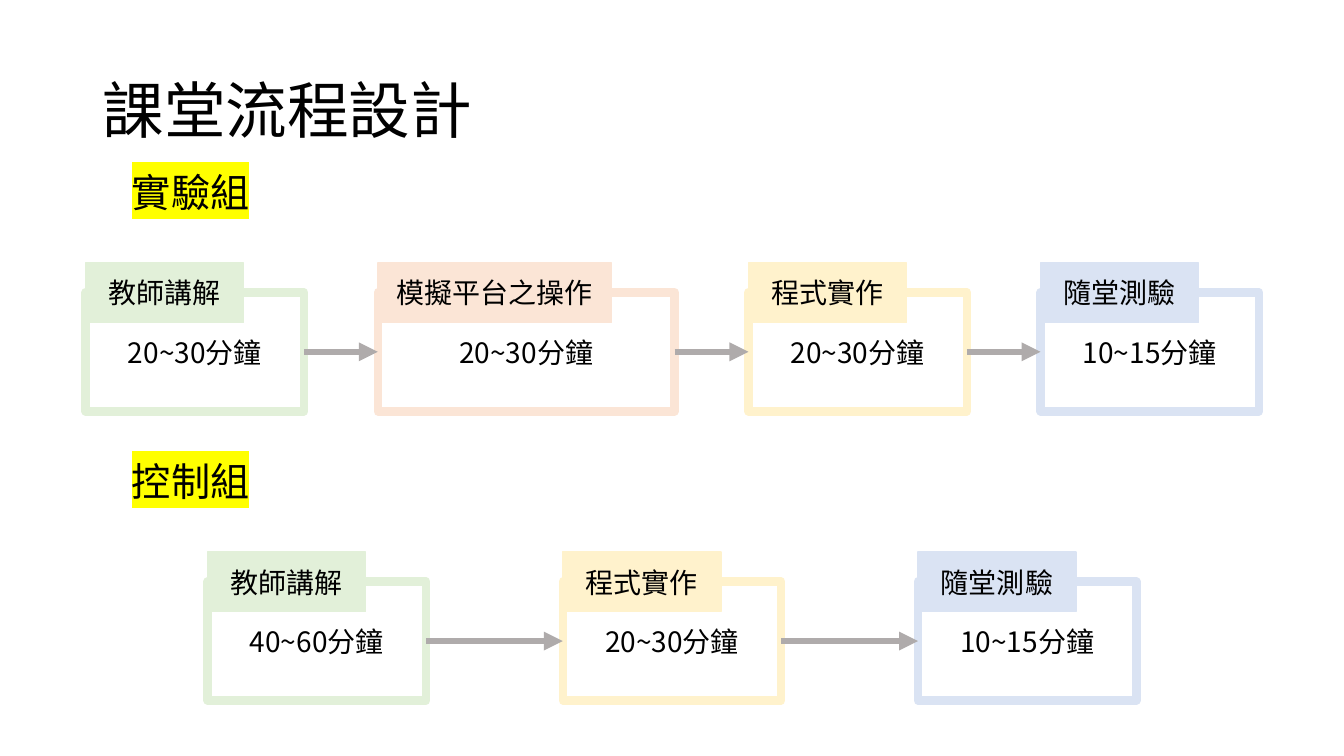
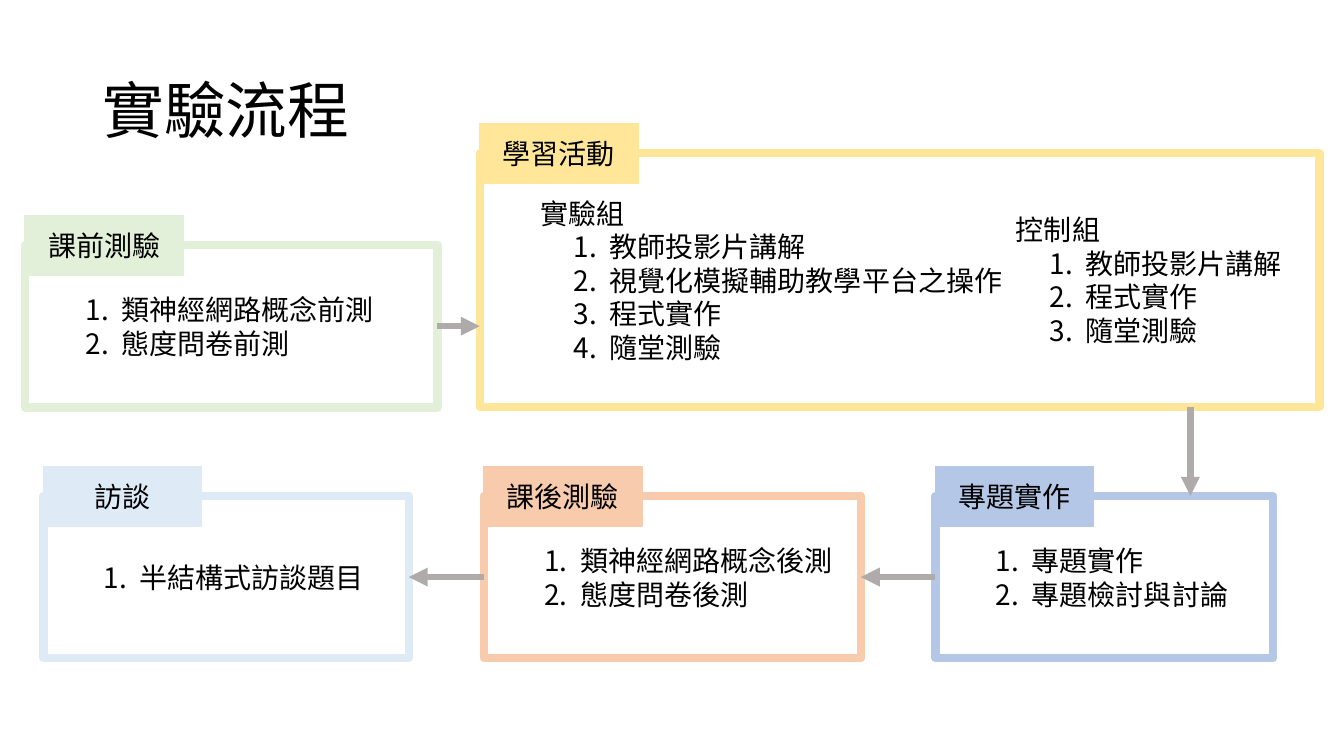
from dataclasses import dataclass

from pptx import Presentation
from pptx.dml.color import RGBColor
from pptx.enum import shapes, text
from pptx.oxml import ns, xmlchemy
from pptx.util import Pt


@dataclass(frozen=True)
class Theme:
    font: str = "Noto Sans CJK SC"
    ink: str = "000000"
    paper: str = "FFFFFF"
    arrow: str = "AFABAB"
    marker: str = "FFFF00"
    green: str = "E2F0D9"
    peach: str = "FBE5D6"
    cream: str = "FFF2CC"
    blue: str = "DAE3F3"
    gold: str = "FFE699"
    orange: str = "F8CBAD"
    sky: str = "DEEBF7"
    steel: str = "B4C7E7"
    title_size: int = 44
    group_size: int = 28
    body_size: int = 20
    frame_line: float = 6
    tab_line: float = 1
    arrow_line: float = 4.5


THEME = Theme()
TITLE_AREA = (66, 28.8, 828, 104.4)
TAB_RISE, TAB_HEIGHT, TAB_WIDTH, WIDE_TAB = 21, 42.5, 113, 167
STEP_WIDTH, WIDE_STEP, STEP_HEIGHT = 156, 212, 85
STAGE_TOP, STAGE_HEIGHT = 354.2, 116
LIST_INDENT, NUMBER_INDENT, NUMBER_HANG = 36, 24, 25.7
TOP, LEFT, BOTTOM, RIGHT = range(4)

CLASS_TITLE = "課堂流程設計"
CLASS_FLOWS = [
    {
        "group": "實驗組", "group_top": 116.6, "left": 61.2, "top": 208.8, "gap": 52.7,
        "steps": [
            ("教師講解", "20~30分鐘", THEME.green, STEP_WIDTH, TAB_WIDTH),
            ("模擬平台之操作", "20~30分鐘", THEME.peach, WIDE_STEP, WIDE_TAB),
            ("程式實作", "20~30分鐘", THEME.cream, STEP_WIDTH, TAB_WIDTH),
            ("隨堂測驗", "10~15分鐘", THEME.blue, STEP_WIDTH, TAB_WIDTH),
        ],
    },
    {
        "group": "控制組", "group_top": 323.3, "left": 148.3, "top": 415.4, "gap": 97.7,
        "steps": [
            ("教師講解", "40~60分鐘", THEME.green, STEP_WIDTH, TAB_WIDTH),
            ("程式實作", "20~30分鐘", THEME.cream, STEP_WIDTH, TAB_WIDTH),
            ("隨堂測驗", "10~15分鐘", THEME.blue, STEP_WIDTH, TAB_WIDTH),
        ],
    },
]

STUDY_TITLE = "實驗流程"
STAGES = [
    ("課前測驗", THEME.green, (18, 175, 294.5, STAGE_HEIGHT), None,
     ["類神經網路概念前測", "態度問卷前測"]),
    ("專題實作", THEME.steel, (668.2, STAGE_TOP, 241.2, STAGE_HEIGHT), None,
     ["專題實作", "專題檢討與討論"]),
    ("課後測驗", THEME.orange, (345.6, STAGE_TOP, 269.3, STAGE_HEIGHT), None,
     ["類神經網路概念後測", "態度問卷後測"]),
    ("訪談", THEME.sky, (31, STAGE_TOP, 261, STAGE_HEIGHT), None,
     ["半結構式訪談題目"]),
    ("學習活動", THEME.gold, (342.7, 109.4, 599.8, 181.4), "實驗組",
     ["教師投影片講解", "視覺化模擬輔助教學平台之操作", "程式實作", "隨堂測驗"]),
]
CONTROL_AREA = (718.6, 148.3, 205.2, 104.4)
CONTROL_GROUP = "控制組"
CONTROL_ITEMS = ["教師投影片講解", "程式實作", "隨堂測驗"]
PROJECT_ARROW_X = 850.3


def color(value):
    return RGBColor.from_string(value)


def points(values):
    return [Pt(value) for value in values]


def add_xml(parent, tag, **attributes):
    element = xmlchemy.OxmlElement(tag)
    for name, value in attributes.items():
        element.set(name, str(value))
    parent.append(element)
    return element


def style(para, size):
    font = para.font
    font.name, font.size = THEME.font, Pt(size)
    font.color.rgb = color(THEME.ink)
    defaults = para._p.get_or_add_pPr().find(ns.qn("a:defRPr"))
    add_xml(defaults, "a:ea", typeface=THEME.font)


def write(frame, line, size, align=text.PP_ALIGN.LEFT):
    para = frame.paragraphs[0]
    para.text, para.alignment = line, align
    style(para, size)
    return para


def write_list(frame, heading, items, indent):
    lines = ([(heading, False)] if heading else []) + [(item, True) for item in items]
    number_left = indent + (NUMBER_INDENT if heading else 0)
    for index, (line, numbered) in enumerate(lines):
        para = frame.paragraphs[0] if index == 0 else frame.add_paragraph()
        para.text, para.alignment = line, text.PP_ALIGN.LEFT
        settings = para._p.get_or_add_pPr()
        settings.set("marL", str(Pt(number_left + NUMBER_HANG if numbered else indent)))
        if numbered:
            settings.set("indent", str(Pt(-NUMBER_HANG)))
            add_xml(add_xml(settings, "a:buClr"), "a:srgbClr", val=THEME.ink)
            add_xml(settings, "a:buFont", typeface=THEME.font)
            add_xml(settings, "a:buAutoNum", type="arabicPeriod")
        style(para, THEME.body_size)


def add_page(deck, title):
    page = deck.slides.add_slide(deck.slide_layouts[5])
    box = page.shapes.title
    box.left, box.top, box.width, box.height = points(TITLE_AREA)
    box.text_frame.vertical_anchor = text.MSO_ANCHOR.MIDDLE
    write(box.text_frame, title, THEME.title_size).line_spacing = 0.9
    return page


def add_box(page, area, fill, line, weight):
    box = page.shapes.add_shape(shapes.MSO_SHAPE.RECTANGLE, *points(area))
    box.shadow.inherit = False
    box.fill.solid()
    box.fill.fore_color.rgb = color(fill)
    box.line.color.rgb = color(line)
    box.line.width = Pt(weight)
    box.text_frame.word_wrap = True
    box.text_frame.vertical_anchor = text.MSO_ANCHOR.MIDDLE
    return box


def add_card(page, area, label, tint, tab_width=TAB_WIDTH):
    left, top = area[:2]
    card = add_box(page, area, THEME.paper, tint, THEME.frame_line)
    tab = add_box(page, (left, top - TAB_RISE, tab_width, TAB_HEIGHT),
                  tint, tint, THEME.tab_line)
    write(tab.text_frame, label, THEME.body_size, text.PP_ALIGN.CENTER)
    return card


def add_arrow(page, start, end):
    arrow = page.shapes.add_connector(shapes.MSO_CONNECTOR.STRAIGHT, *start, *end)
    arrow.line.color.rgb = color(THEME.arrow)
    arrow.line.width = Pt(THEME.arrow_line)
    add_xml(arrow.line._get_or_add_ln(), "a:tailEnd", type="triangle")
    add_xml(arrow._element.spPr, "a:effectLst")
    return arrow


def join_cards(page, source, target, source_side, target_side):
    arrow = add_arrow(page, (0, 0), (0, 0))
    arrow.begin_connect(source, source_side)
    arrow.end_connect(target, target_side)


def add_group_name(page, name, top):
    box = page.shapes.add_textbox(*points((87.1, top, 99.4, 41)))
    box.text_frame.word_wrap = False
    para = write(box.text_frame, name, THEME.group_size)
    highlight = add_xml(para.runs[0]._r.get_or_add_rPr(), "a:highlight")
    add_xml(highlight, "a:srgbClr", val=THEME.marker)


def add_class_flow(page, flow):
    add_group_name(page, flow["group"], flow["group_top"])
    left, cards = flow["left"], []
    for label, minutes, tint, width, tab_width in flow["steps"]:
        area = (left, flow["top"], width, STEP_HEIGHT)
        card = add_card(page, area, label, tint, tab_width)
        write(card.text_frame, minutes, THEME.body_size, text.PP_ALIGN.CENTER)
        cards.append(card)
        left += width + flow["gap"]
    for source, target in zip(cards, cards[1:]):
        join_cards(page, source, target, RIGHT, LEFT)


def add_study_flow(page):
    cards = []
    for label, tint, area, heading, items in STAGES:
        card = add_card(page, area, label, tint)
        write_list(card.text_frame, heading, items, LIST_INDENT)
        cards.append(card)
    pretest, project, posttest, interview, learning = cards

    control = page.shapes.add_textbox(*points(CONTROL_AREA))
    control.text_frame.word_wrap = True
    write_list(control.text_frame, CONTROL_GROUP, CONTROL_ITEMS, 0)

    middle = pretest.top + pretest.height // 2
    arrow = add_arrow(page, (0, 0), (learning.left, middle))
    arrow.begin_connect(pretest, RIGHT)
    add_arrow(page, (Pt(PROJECT_ARROW_X), learning.top + learning.height),
              (Pt(PROJECT_ARROW_X), project.top))
    join_cards(page, project, posttest, LEFT, RIGHT)
    join_cards(page, posttest, interview, LEFT, RIGHT)


def main():
    deck = Presentation()
    deck.slide_width, deck.slide_height = Pt(960), Pt(540)
    class_page = add_page(deck, CLASS_TITLE)
    for flow in CLASS_FLOWS:
        add_class_flow(class_page, flow)
    add_study_flow(add_page(deck, STUDY_TITLE))
    deck.save("out.pptx")


if __name__ == "__main__":
    main()
